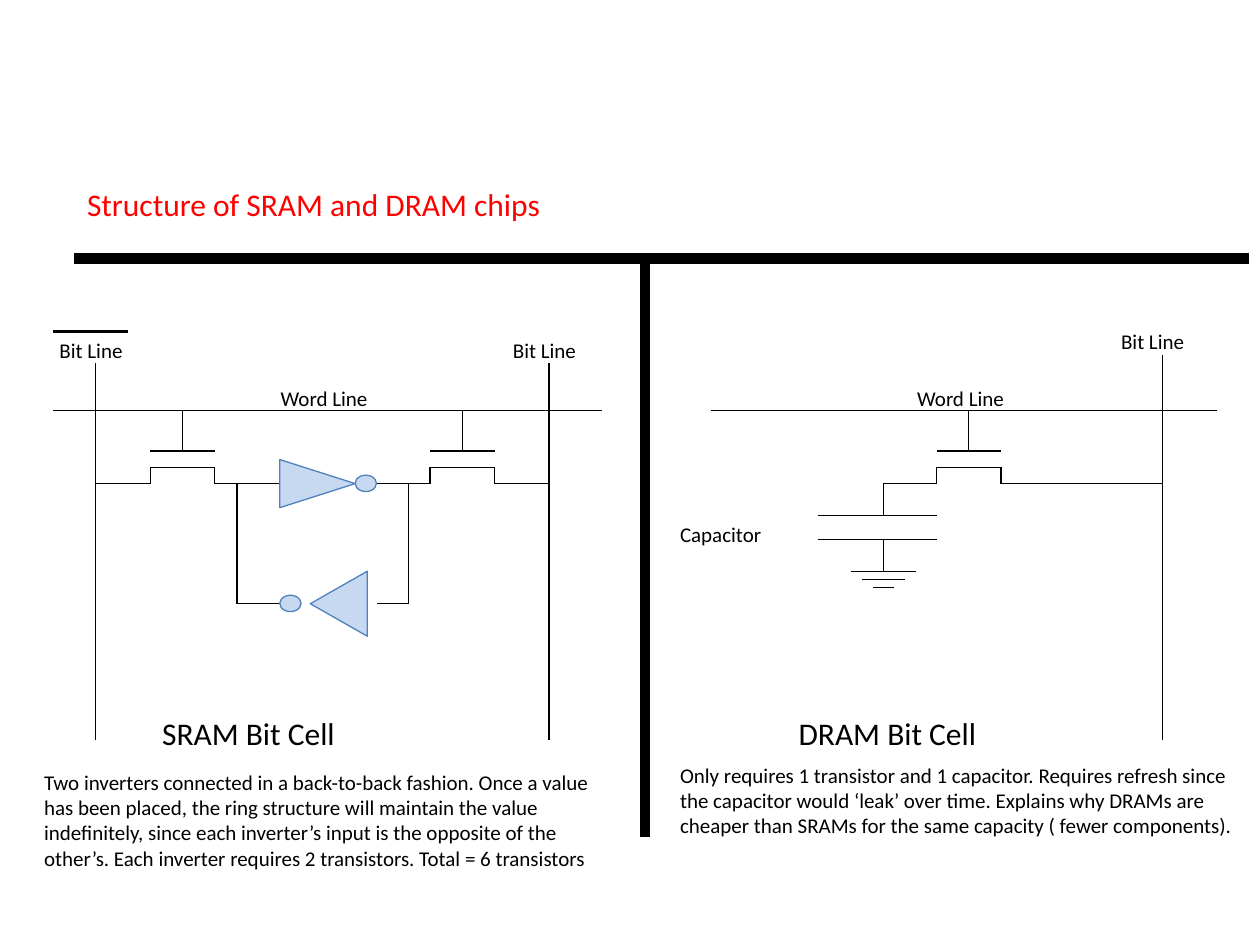
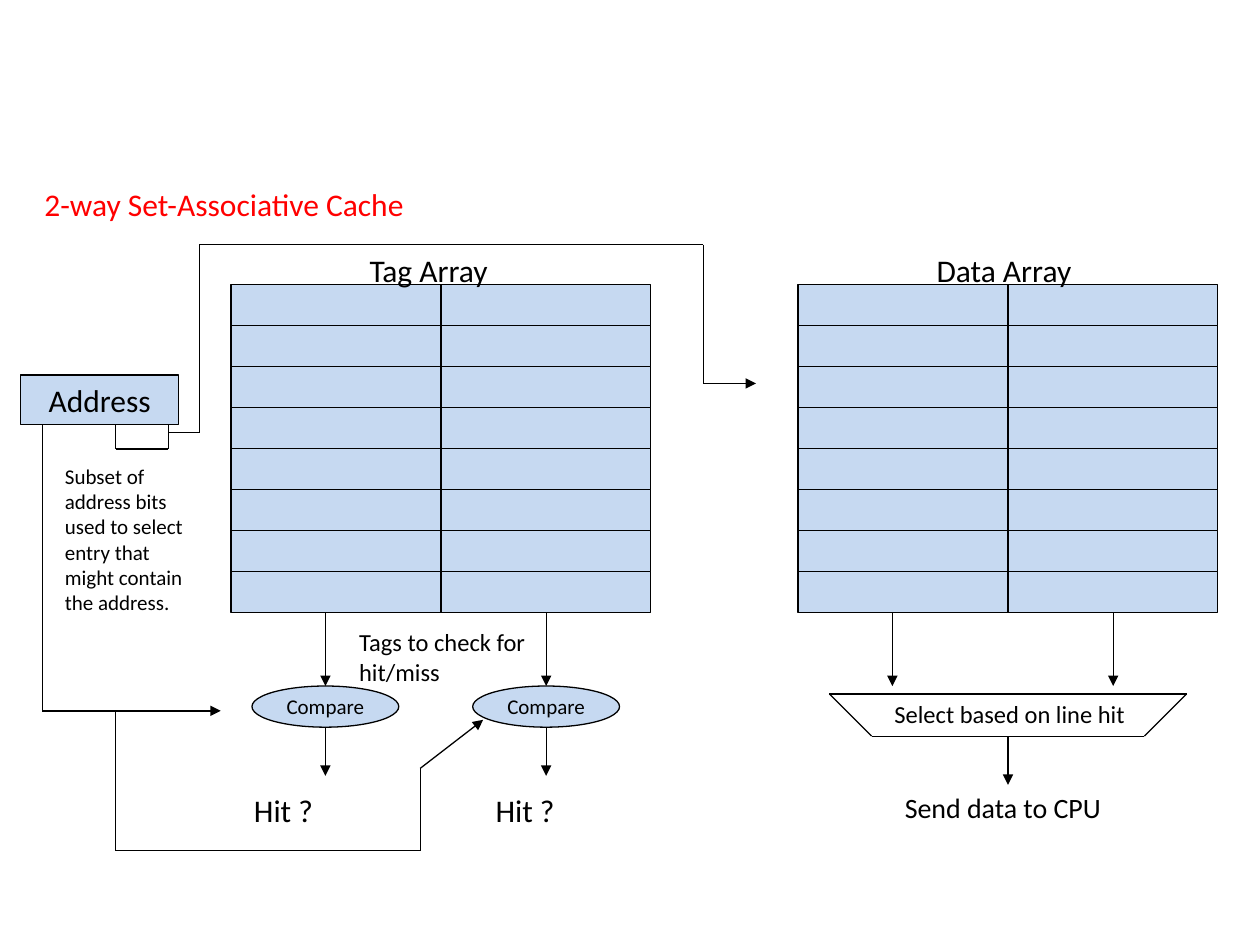
from itertools import pairwise, product

from lxml import etree
from pptx import Presentation
from pptx.dml.color import RGBColor
from pptx.enum.shapes import MSO_CONNECTOR, MSO_SHAPE
from pptx.enum.text import MSO_ANCHOR, MSO_AUTO_SIZE, PP_ALIGN
from pptx.oxml.ns import qn
from pptx.util import Cm, Pt

STRAIGHT = MSO_CONNECTOR.STRAIGHT
RECTANGLE, OVAL = MSO_SHAPE.RECTANGLE, MSO_SHAPE.OVAL
TRIANGLE = MSO_SHAPE.ISOSCELES_TRIANGLE
TOP, MIDDLE = MSO_ANCHOR.TOP, MSO_ANCHOR.MIDDLE
LEFT, CENTER = PP_ALIGN.LEFT, PP_ALIGN.CENTER
NO_AUTOFIT = MSO_AUTO_SIZE.NONE

BLACK = RGBColor(0x00, 0x00, 0x00)
RED = RGBColor(0xFF, 0x00, 0x00)
PALE_BLUE = RGBColor(0xC6, 0xD9, 0xF1)
BLUE = RGBColor(0x4F, 0x81, 0xBD)

FONT = "Calibri"
TITLE_ONLY = 5
THIN, MEDIUM, THICK = 0.75, 1.5, 6

WORD_Y, GATE_Y, CHANNEL_Y, WIRE_Y = 8.28, 9.09, 9.42, 9.75
FEEDBACK_Y = 12.17
CELL_BOTTOM = 14.91
GATE_HALF = 0.65

ARRAY_TOP, ARRAY_BOTTOM = 5.74, 12.35
ARRAY_ROWS, ARRAY_COLUMNS = 8, 2
WAY_WIDTH = 4.23
ROW_HEIGHT = (ARRAY_BOTTOM - ARRAY_TOP) / ARRAY_ROWS


def apply(target, values):
    for name, value in values.items():
        setattr(target, name, value)


def write(frame, text, size, color=BLACK, align=LEFT, anchor=TOP, wrap=True):
    apply(frame, {"text": text, "auto_size": NO_AUTOFIT,
                  "word_wrap": wrap, "vertical_anchor": anchor})
    paragraph = frame.paragraphs[0]
    paragraph.alignment = align
    apply(paragraph.font, {"name": FONT, "size": Pt(size)})
    paragraph.font.color.rgb = color


def add_titled_slide(deck, text, left, width):
    slide = deck.slides.add_slide(deck.slide_layouts[TITLE_ONLY])
    title = slide.shapes.title
    apply(title, {"left": Cm(left), "top": Cm(3.61),
                  "width": Cm(width), "height": Cm(0.98)})
    write(title.text_frame, text, 18, RED)
    return slide


def add_label(slide, text, left, top, width, height, size=12):
    box = slide.shapes.add_textbox(Cm(left), Cm(top), Cm(width), Cm(height))
    write(box.text_frame, text, size)


def add_wire(slide, *points, weight=THIN, arrow=False):
    for start, end in pairwise(points):
        ends = [Cm(value) for value in (*start, *end)]
        wire = slide.shapes.add_connector(STRAIGHT, *ends)
        wire.line.color.rgb = BLACK
        wire.line.width = Pt(weight)
        properties = wire.element.spPr
        if arrow and end == points[-1]:
            outline = properties.find(qn("a:ln"))
            etree.SubElement(outline, qn("a:tailEnd"), type="triangle")
        etree.SubElement(properties, qn("a:effectLst"))


def add_block(slide, kind, left, top, width, height, edge=BLACK):
    block = slide.shapes.add_shape(kind, Cm(left), Cm(top), Cm(width), Cm(height))
    block.shadow.inherit = False
    block.fill.solid()
    block.fill.fore_color.rgb = PALE_BLUE
    block.line.color.rgb = edge
    block.line.width = Pt(THIN)
    return block


def add_named_block(slide, kind, text, size, *place):
    block = add_block(slide, kind, *place)
    write(block.text_frame, text, size, align=CENTER, anchor=MIDDLE, wrap=False)


def add_transistor(slide, centre):
    source, drain = centre - GATE_HALF, centre + GATE_HALF
    add_wire(slide, (centre, WORD_Y), (centre, GATE_Y))
    add_wire(slide, (source, GATE_Y), (drain, GATE_Y))
    add_wire(slide, (source, WIRE_Y), (source, CHANNEL_Y),
             (drain, CHANNEL_Y), (drain, WIRE_Y))


def add_inverter(slide, centre, y, base, length, rotation, bubble):
    driver = add_block(slide, TRIANGLE, centre - base / 2, y - length / 2,
                       base, length, BLUE)
    driver.rotation = rotation
    add_block(slide, OVAL, bubble - 0.22, y - 0.17, 0.43, 0.33, BLUE)


def add_array(slide, name, left):
    for row, way in product(range(ARRAY_ROWS), range(ARRAY_COLUMNS)):
        add_block(slide, RECTANGLE, left + way * WAY_WIDTH,
                  ARRAY_TOP + row * ROW_HEIGHT, WAY_WIDTH, ROW_HEIGHT)
    add_label(slide, name, left + 2.54, 4.93, 3.6, 0.79, 18)


def draw_sram_cell(slide):
    true_bit, inverse_bit = 11.07, 1.93
    for bit in (inverse_bit, true_bit):
        add_wire(slide, (bit, 7.32), (bit, CELL_BOTTOM))
        add_label(slide, "Bit Line", bit - 0.98, 6.68, 2.18, 0.58)
    add_wire(slide, (1.07, 6.68), (2.59, 6.68), weight=MEDIUM)
    add_wire(slide, (1.07, WORD_Y), (12.14, WORD_Y))
    add_label(slide, "Word Line", 5.41, 7.65, 2.62, 0.58)

    left_gate, right_gate = 3.68, 9.32
    for gate in (left_gate, right_gate):
        add_transistor(slide, gate)
    for start, end in ((inverse_bit, left_gate - GATE_HALF),
                       (left_gate + GATE_HALF, 5.64),
                       (7.59, right_gate - GATE_HALF),
                       (right_gate + GATE_HALF, true_bit)):
        add_wire(slide, (start, WIRE_Y), (end, WIRE_Y))
    for node, end in ((4.78, 5.64), (8.23, 7.59)):
        add_wire(slide, (node, WIRE_Y), (node, FEEDBACK_Y), (end, FEEDBACK_Y))
    add_inverter(slide, 6.4, WIRE_Y, 0.97, 1.52, 90, 7.38)
    add_inverter(slide, 6.83, FEEDBACK_Y, 1.31, 1.15, 270, 5.86)

    add_label(slide, "SRAM Bit Cell", 3.02, 14.27, 6.3, 0.97, 18)
    add_label(slide, "Two inverters connected in a back-to-back fashion. Once a "
              "value has been placed, the ring structure will maintain the value "
              "indefinitely, since each inverter’s input is the opposite of the "
              "other’s. Each inverter requires 2 transistors. "
              "Total = 6 transistors", 0.64, 15.39, 11.94, 1.75)


def draw_dram_cell(slide):
    bit, gate, node = 23.44, 19.53, 17.81
    upper_plate, lower_plate, ground = 10.39, 10.87, 11.52
    add_wire(slide, (bit, 7.16), (bit, CELL_BOTTOM))
    add_label(slide, "Bit Line", 22.35, 6.5, 2.18, 0.58)
    add_wire(slide, (14.33, WORD_Y), (24.54, WORD_Y))
    add_label(slide, "Word Line", 18.24, 7.65, 2.62, 0.58)

    add_transistor(slide, gate)
    add_wire(slide, (gate + GATE_HALF, WIRE_Y), (bit, WIRE_Y))
    add_wire(slide, (gate - GATE_HALF, WIRE_Y), (node, WIRE_Y),
             (node, upper_plate))
    for plate in (upper_plate, lower_plate):
        add_wire(slide, (16.48, plate), (18.88, plate))
    add_wire(slide, (node, lower_plate), (node, ground))
    for step, half in enumerate((0.65, 0.43, 0.22)):
        y = ground + step * 0.16
        add_wire(slide, (node - half, y), (node + half, y))
    add_label(slide, "Capacitor", 13.46, 10.39, 2.82, 0.58)

    add_label(slide, "DRAM Bit Cell", 15.85, 14.27, 6.3, 0.97, 18)
    add_label(slide, "Only requires 1 transistor and 1 capacitor. Requires refresh "
              "since the capacitor would ‘leak’ over time. Explains why DRAMs are "
              "cheaper than SRAMs for the same capacity ( fewer components).",
              13.46, 15.24, 11.94, 1.35)


def build_memory_cells(deck):
    slide = add_titled_slide(deck, "Structure of SRAM and DRAM chips", 1.5, 23.47)
    add_wire(slide, (13, 5.21), (13, 16.87), weight=THICK)
    add_wire(slide, (1.5, 5.21), (25.17, 5.21), weight=THICK)
    draw_sram_cell(slide)
    draw_dram_cell(slide)


def draw_address(slide):
    bottom, tag_y = 8.56, 14.33
    add_named_block(slide, RECTANGLE, "Address", 18, 0.42, 7.56, 3.18, 1)
    add_wire(slide, (0.85, bottom), (0.85, tag_y), (4.45, tag_y), arrow=True)
    add_wire(slide, (2.33, tag_y), (2.33, 17.15), (8.47, 17.15),
             (8.47, 15.49), (9.74, 14.51), arrow=True)
    add_wire(slide, (2.33, bottom), (2.33, 9.05), (3.39, 9.05), (3.39, bottom))
    add_wire(slide, (3.39, 8.72), (4.02, 8.72), (4.02, 4.93), (14.18, 4.93),
             (14.18, 7.73), (15.24, 7.73), arrow=True)
    add_label(slide, "Subset of address bits used to select entry that might "
              "contain the address.", 1.06, 9.22, 2.96, 2.57)


def draw_tag_check(slide):
    add_array(slide, "Tag Array", 4.66)
    for way, hit_left in ((6.56, 4.87), (11.01, 9.74)):
        add_wire(slide, (way, ARRAY_BOTTOM), (way, 13.83), arrow=True)
        add_named_block(slide, OVAL, "Compare", 12, way - 1.48, 13.83, 2.96, 0.83)
        add_wire(slide, (way, 14.66), (way, 15.64), arrow=True)
        add_label(slide, "Hit ?", hit_left, 15.82, 3.6, 0.98, 18)
    add_label(slide, "Tags to check for hit/miss", 6.99, 12.52, 4.02, 1.12, 14)


def draw_data_select(slide):
    add_array(slide, "Data Array", 16.09)
    for way in (17.99, 22.44):
        add_wire(slide, (way, ARRAY_BOTTOM), (way, 13.83), arrow=True)
    add_wire(slide, (16.72, 13.99), (23.92, 13.99), (23.07, 14.84),
             (17.57, 14.84), (16.72, 13.99))
    add_label(slide, "Select based on line hit", 17.78, 13.97, 5.29, 0.66, 14)
    add_wire(slide, (20.32, 14.84), (20.32, 15.82), arrow=True)
    add_label(slide, "Send data to CPU", 17.99, 15.82, 4.66, 0.74, 16)


def build_cache(deck):
    slide = add_titled_slide(deck, "2-way Set-Associative Cache", 0.64, 13.12)
    draw_tag_check(slide)
    draw_data_select(slide)
    draw_address(slide)


def main():
    deck = Presentation()
    apply(deck, {"slide_width": Cm(25.4), "slide_height": Cm(19.05)})
    build_memory_cells(deck)
    build_cache(deck)
    deck.save("out.pptx")


if __name__ == "__main__":
    main()
